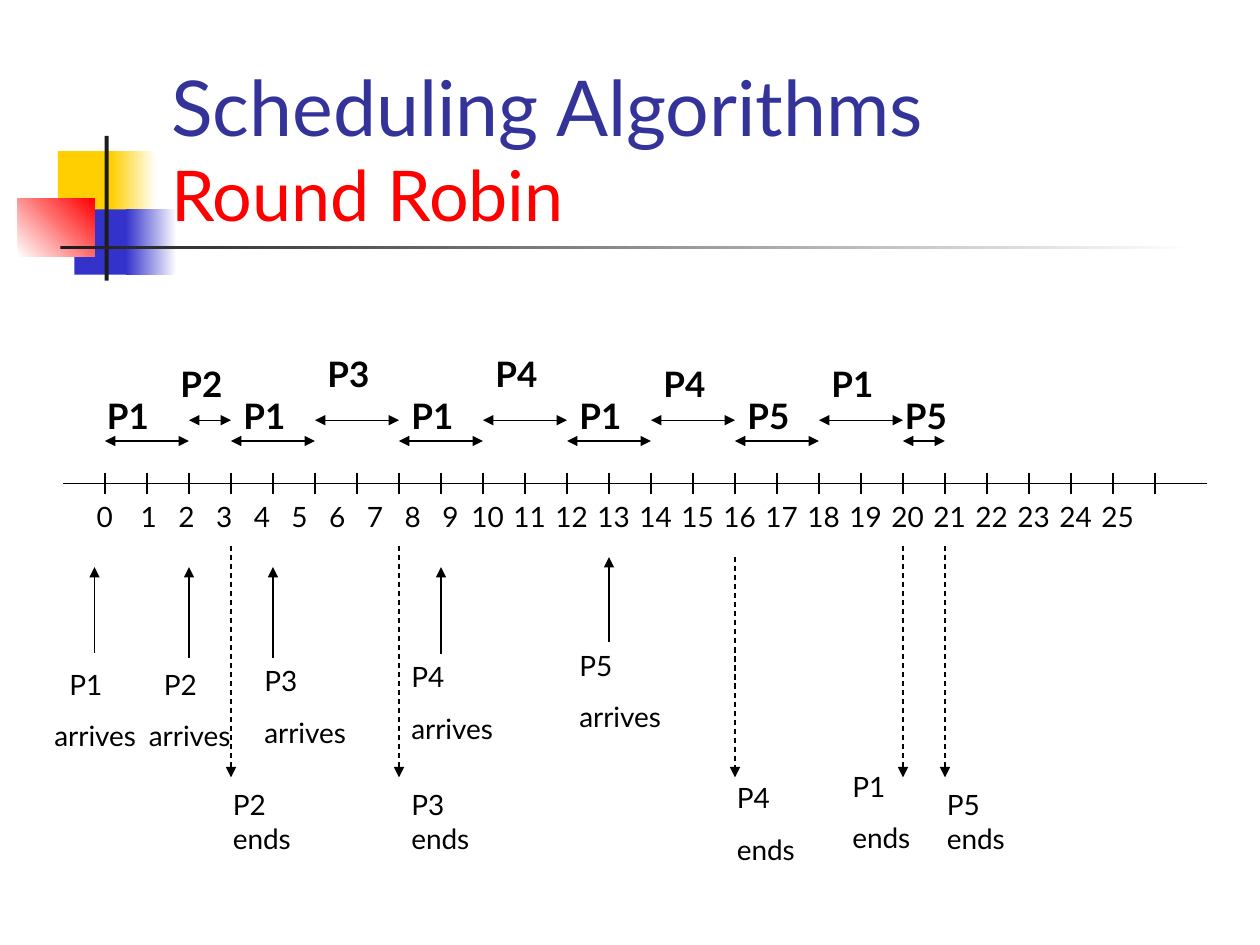
from lxml import etree
from pptx import Presentation, util as u
from pptx.dml.color import RGBColor
from pptx.enum import dml, shapes, text
from pptx.oxml.ns import qn

FONT = "Lato"
STEP = 2.54 / 3
AXIS = 9.74
BARS = [
    ("P1", 0, 2, -0.25, 7.82), ("P2", 2, 3, 1.5, 7.19),
    ("P1", 3, 5, 3, 7.82), ("P3", 5, 7, 5, 6.99),
    ("P1", 7, 9, 7, 7.82), ("P4", 9, 11, 9, 6.99),
    ("P1", 11, 13, 11, 7.82), ("P4", 13, 15, 13, 7.19),
    ("P5", 15, 17, 15, 7.82), ("P1", 17, 19, 17, 7.19),
    ("P5", 19, 20, 18.75, 7.82),
]
STARTS = [
    ("P1", -0.25, 13.16, 11.43, -1.5, 13.34, 0.3),
    ("P2", 2, 13.26, 11.43, 0.75, 13.34, 0.3),
    ("P3", 4, 13.26, 11.43, 3.5, 13.26, 0),
    ("P4", 8, 13.18, 11.43, 7, 13.18, 0),
    ("P5", 12, 12.95, 11.23, 11, 12.95, 0),
]
ENDS = [
    ("P2 ends", 3, 11, 2.75, 15.75), ("P3 ends", 7, 11, 7, 15.75),
    ("P4\nends", 15, 11.23, 14.75, 15.62), ("P1\nends", 19, 11, 17.5, 15.39),
    ("P5 ends", 20, 11, 19.75, 15.75),
]
BLOCKS = [
    (1.17, 3.05, 1.22, 1.32, "FFCF01", None, 0),
    (2.24, 3.05, 0.91, 1.32, "FFCF01", "FFFFFF", 0),
    (1.5, 4.22, 1.17, 1.32, "3333CC", None, 0),
    (2.54, 4.22, 1.02, 1.32, "3333CC", "FFFFFF", 0),
    (0.36, 4.01, 1.55, 1.17, "FFFFFF", "FF0000", 45),
    (2.11, 2.74, 0.08, 2.92, "1C1C1C", None, 0),
    (1.22, 4.95, 22.86, 0.08, "1C1C1C", "FFFFFF", 0),
]


def rgb(code):
    """Turn a hex string into a colour."""
    return RGBColor.from_string(code)


def at(tick):
    """Give the horizontal place of a time tick in centimetres."""
    return (tick + 2.5) * STEP


def style(run, size, color="000000", bold=False):
    """Format one run."""
    font = run.font
    font.name, font.size, font.bold = FONT, u.Pt(size), bold
    font.color.rgb = rgb(color)


def block(sld, x, y, w, h, first, last, angle):
    """Add a plain or graded rectangle."""
    box = sld.shapes.add_shape(shapes.MSO_SHAPE.RECTANGLE, *map(u.Cm, (x, y, w, h)))
    box.shadow.inherit = False
    box.line.fill.background()
    if last:
        box.fill.gradient()
        box.fill.gradient_angle = angle
        for stop, code, place in zip(box.fill.gradient_stops, (first, last), (0, 1)):
            stop.color.rgb = rgb(code)
            stop.position = place
    else:
        box.fill.solid()
        box.fill.fore_color.rgb = rgb(first)


def line(sld, x1, y1, x2, y2, heads=(), dash=False):
    """Add a thin black line with optional arrowheads."""
    con = sld.shapes.add_connector(
        shapes.MSO_CONNECTOR.STRAIGHT, *map(u.Cm, (x1, y1, x2, y2)))
    con.line.width = u.Pt(0.75)
    con.line.color.rgb = rgb("000000")
    if dash:
        con.line.dash_style = dml.MSO_LINE.DASH
    props = con._element.spPr
    for head in heads:
        etree.SubElement(props.get_or_add_ln(), qn("a:" + head), type="triangle")
    etree.SubElement(props, qn("a:effectLst"))


def label(sld, words, x, y, w, h, size=16, bold=False):
    """Add a text box and return its paragraphs."""
    frame = sld.shapes.add_textbox(*map(u.Cm, (x, y, w, h))).text_frame
    frame.text = words
    frame.word_wrap = True
    frame.auto_size = text.MSO_AUTO_SIZE.SHAPE_TO_FIT_TEXT
    for para in frame.paragraphs:
        para.space_before = u.Pt(size * 0.625)
        for run in para.runs:
            style(run, size, bold=bold)
    return frame.paragraphs


def heading(sld):
    """Place and format the title above the decoration."""
    title = sld.shapes.title
    title.left, title.top, title.width, title.height = map(
        u.Cm, (3.2, 1.7, 21.64, 3.18))
    frame = title.text_frame
    frame.text = "Scheduling Algorithms\vRound Robin"
    frame.vertical_anchor = text.MSO_ANCHOR.BOTTOM
    frame.auto_size = text.MSO_AUTO_SIZE.NONE
    para = frame.paragraphs[0]
    para.alignment = text.PP_ALIGN.LEFT
    for run, size, code in zip(para.runs, (44, 40), ("333399", "FF0000")):
        style(run, size, code)
    sld.shapes._spTree.append(title._element)


def axis(sld):
    """Draw the time axis, its ticks and its numbers."""
    line(sld, 1.27, AXIS, 24.33, AXIS)
    for tick in range(26):
        line(sld, at(tick), AXIS - 0.21, at(tick), AXIS + 0.21)
    words = "\t".join(str(n) for n in range(26))
    para = label(sld, words, 1.7, 9.95, 22.43, 0.93)[0]
    tabs = etree.SubElement(para._p.get_or_add_pPr(), qn("a:tabLst"))
    for n in range(1, 26):
        pos = 1.05 + (n - 1) * 0.76 if n < 10 else 7.88 + (n - 10) * STEP
        etree.SubElement(tabs, qn("a:tab"), pos=str(int(u.Cm(pos))), algn="ctr")


def main():
    """Build the slide."""
    prs = Presentation()
    prs.slide_width, prs.slide_height = u.Cm(25.4), u.Cm(19.05)
    sld = prs.slides.add_slide(prs.slide_layouts[5])
    for item in BLOCKS:
        block(sld, *item)
    heading(sld)
    axis(sld)
    for i, (name, start, end, tick, y) in enumerate(BARS):
        row = 8.47 if i % 2 else 8.89
        line(sld, at(start), row, at(end), row, ("headEnd", "tailEnd"))
        label(sld, name, at(tick), y, 1.7, 1.12, 20, True)
    for name, tick, low, top, side, y, indent in STARTS:
        line(sld, at(tick), low, at(tick), top, ("tailEnd",))
        paras = label(sld, name + "\narrives", at(side), y, 2.7, 1.96)
        if indent:
            paras[0]._p.get_or_add_pPr().set("marL", str(int(u.Cm(indent))))
    for words, tick, top, side, y in ENDS:
        line(sld, at(tick), top, at(tick), 15.67, ("tailEnd",), True)
        label(sld, words, at(side), y, 1.9, 1.63)
    prs.save("out.pptx")


if __name__ == "__main__":
    main()
